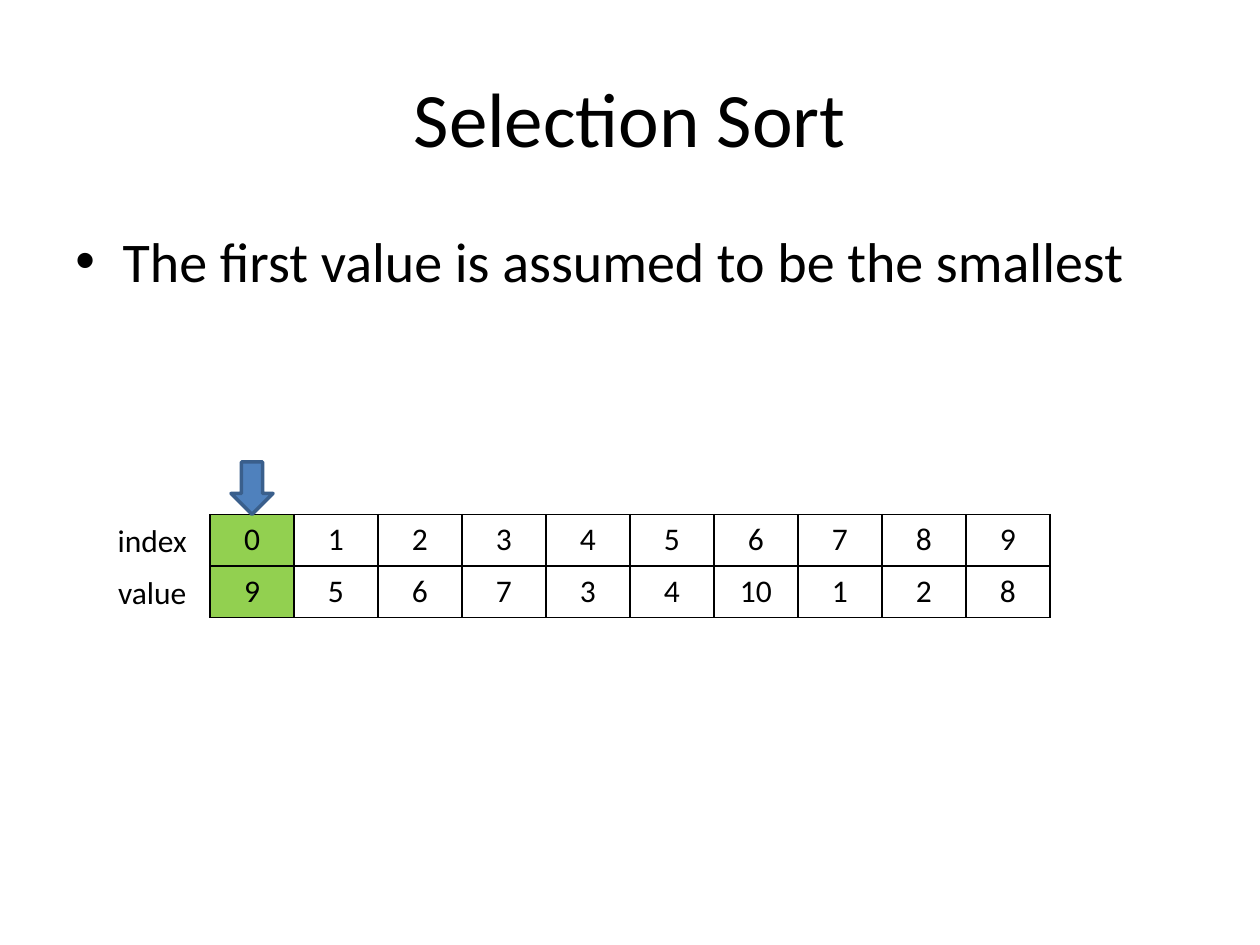
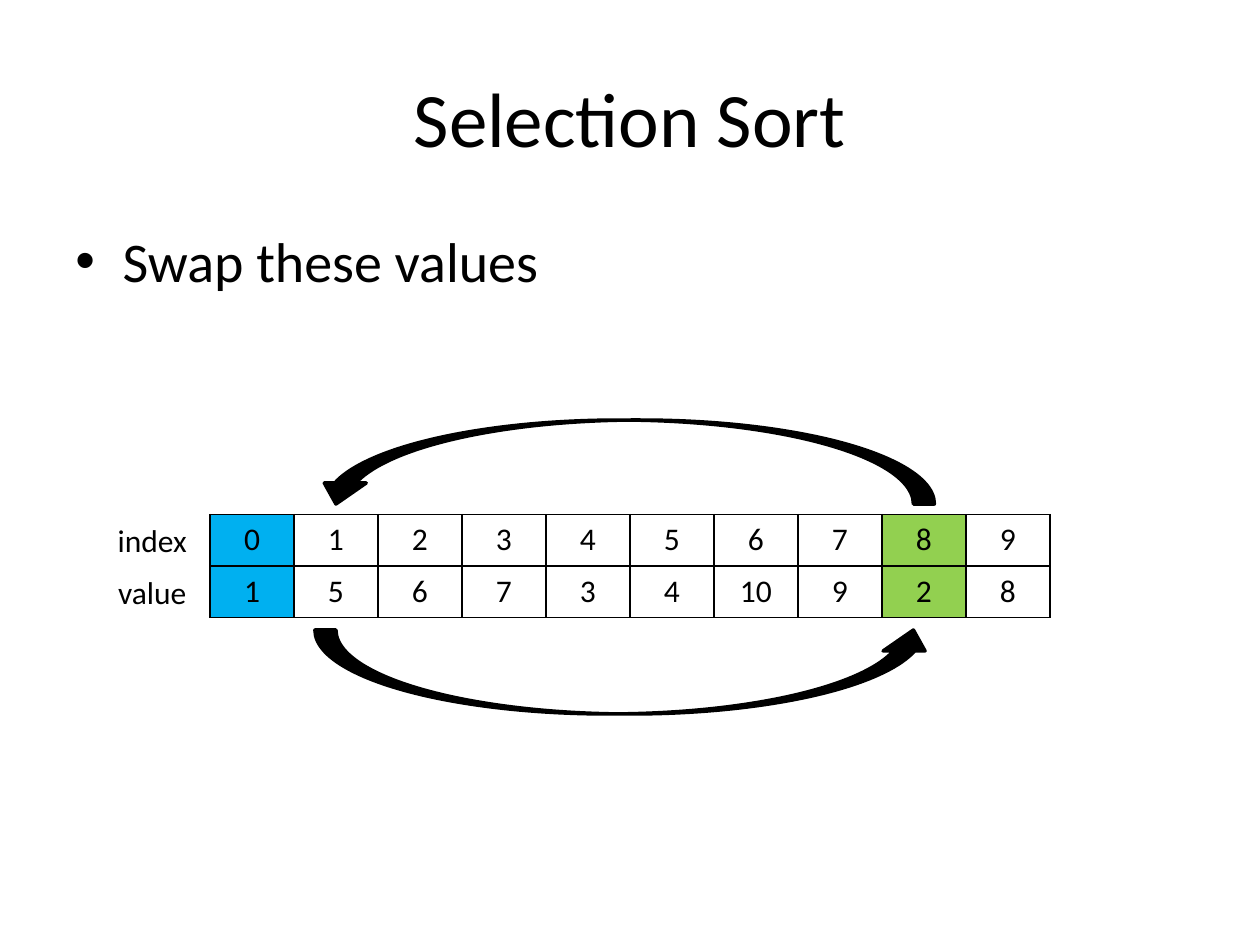
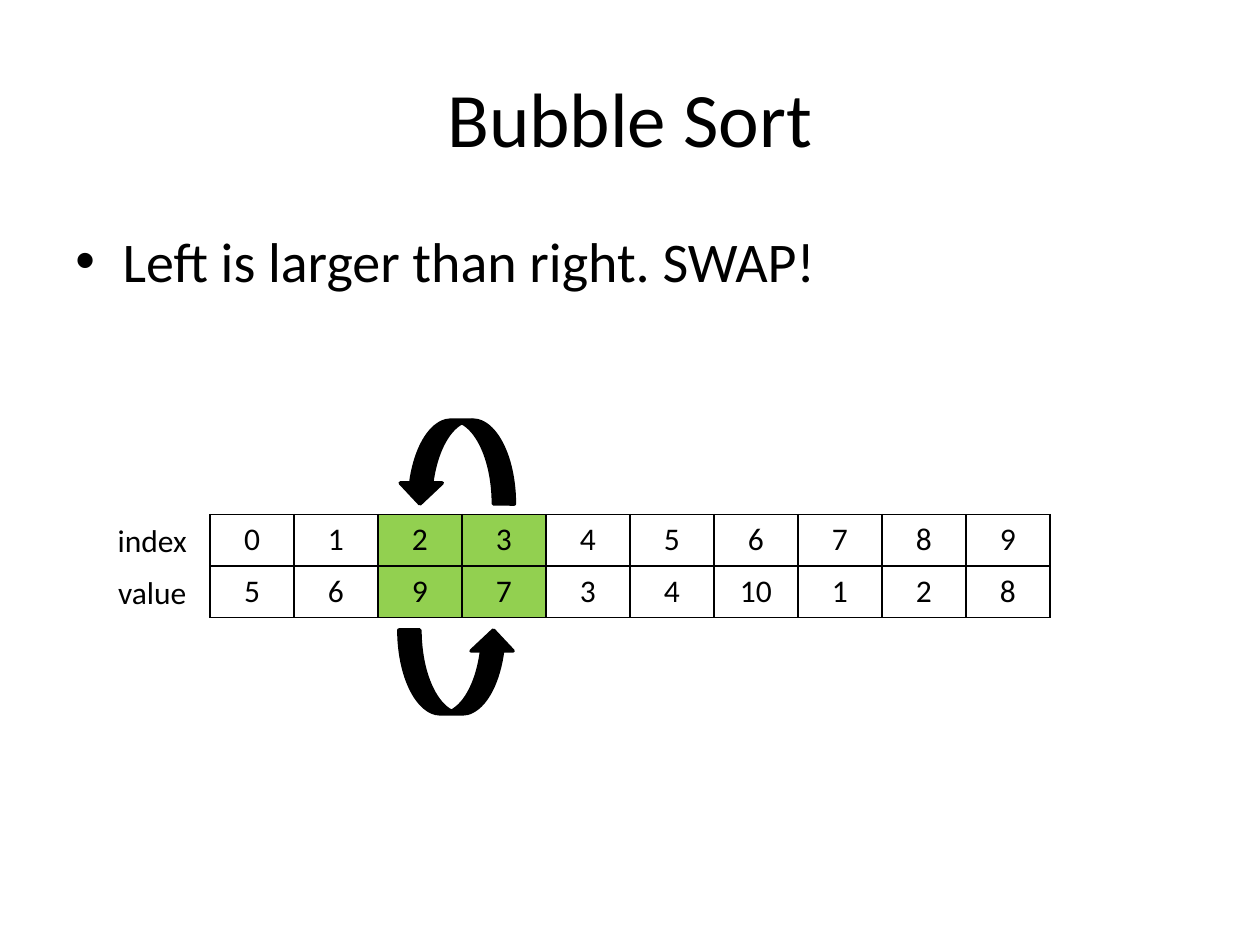
from lxml import etree
from pptx import Presentation
from pptx.dml.color import RGBColor
from pptx.enum.shapes import MSO_SHAPE
from pptx.enum.text import MSO_ANCHOR, PP_ALIGN
from pptx.oxml.ns import qn
from pptx.util import Emu, Pt

CENTER, LEFT = PP_ALIGN.CENTER, PP_ALIGN.LEFT
TOP, MIDDLE = MSO_ANCHOR.TOP, MSO_ANCHOR.MIDDLE
DOWN_ARROW = MSO_SHAPE.DOWN_ARROW
CURVED_UP, CURVED_DOWN = MSO_SHAPE.CURVED_UP_ARROW, MSO_SHAPE.CURVED_DOWN_ARROW

# "marked" maps an index to its colour; "swap" holds the cells the curved arrows join.
SLIDES = [
    {
        "title": "Selection Sort",
        "bullet": "The first value is assumed to be the smallest",
        "values": [9, 5, 6, 7, 3, 4, 10, 1, 2, 8],
        "marked": {0: "green"},
        "pointer": 0,
    },
    {
        "title": "Selection Sort",
        "bullet": "Swap these values",
        "values": [1, 5, 6, 7, 3, 4, 10, 9, 2, 8],
        "marked": {0: "blue", 8: "green"},
        "swap": (1, 8),
    },
    {
        "title": "Bubble Sort",
        "bullet": "Left is larger than right. SWAP!",
        "values": [5, 6, 9, 7, 3, 4, 10, 1, 2, 8],
        "marked": {2: "green", 3: "green"},
        "swap": (2, 3),
    },
]
ROW_LABELS = ["index", "value"]

COLORS = {
    "black": "000000",
    "white": "FFFFFF",
    "green": "92D050",
    "blue": "00B0F0",
    "pointer": "4F81BD",
    "pointer line": "3A5F8C",
}
FONT = "Calibri"

EMU_PER_PX = 7620  # 120 px to the inch
SLIDE_SIZE = (1200, 900)
TITLE_BOX = (60, 36, 1080, 150)
BULLET_BOX = (60, 210, 1080, 594)
BULLET_INDENT = 45
TABLE_LEFT, TABLE_TOP = 200, 490
CELL_WIDTH, CELL_HEIGHT = 80, 49
LABEL_LEFT, LABEL_WIDTH, LABEL_HEIGHT = 90, 110, 50
ARROW_INSET = 20
POINTER_SIZE = (40, 50)
CURVE_TOP, CURVE_BOTTOM, CURVE_HEIGHT, CURVE_EXTRA = 400, 600, 80, 30


def px(length):
    return Emu(length * EMU_PER_PX)


def rgb(name):
    return RGBColor.from_string(COLORS[name])


def cell_left(index):
    return TABLE_LEFT + index * CELL_WIDTH


def place(shape, box):
    shape.left, shape.top, shape.width, shape.height = map(px, box)


def write_text(frame, text, *, size=18, align=CENTER, anchor=TOP, bullet=False):
    frame.word_wrap = True
    frame.vertical_anchor = anchor
    paragraph = frame.paragraphs[0]
    paragraph.text = text
    paragraph.alignment = align
    if bullet:
        properties = paragraph._p.get_or_add_pPr()
        properties.set("marL", str(px(BULLET_INDENT)))
        properties.set("indent", str(-px(BULLET_INDENT)))
        etree.SubElement(properties, qn("a:buFont"), typeface="Arial")
        etree.SubElement(properties, qn("a:buChar"), char="•")
    font = paragraph.runs[0].font
    font.name, font.size = FONT, Pt(size)
    font.color.rgb = rgb("black")


def add_text(slide, box, text, **text_format):
    shape = slide.shapes.add_textbox(*map(px, box))
    write_text(shape.text_frame, text, **text_format)


def add_arrow(slide, kind, box, fill="black", line="black", flip=False):
    shape = slide.shapes.add_shape(kind, *map(px, box))
    shape.shadow.inherit = False
    shape.fill.solid()
    shape.fill.fore_color.rgb = rgb(fill)
    shape.line.color.rgb = rgb(line)
    shape.line.width = Pt(2)
    if flip:
        shape.element.spPr.get_or_add_xfrm().set("flipH", "1")


def add_borders(cell):
    properties = cell._tc.get_or_add_tcPr()
    for side in ("lnL", "lnR", "lnT", "lnB"):
        line = etree.SubElement(properties, qn(f"a:{side}"), w=str(Pt(1)))
        fill = etree.SubElement(line, qn("a:solidFill"))
        etree.SubElement(fill, qn("a:srgbClr"), val=COLORS["black"])


def add_array(slide, values, marked):
    """Draw the index and value rows with their labels."""
    rows = [range(len(values)), values]
    size = (len(values) * CELL_WIDTH, len(rows) * CELL_HEIGHT)
    table = slide.shapes.add_table(
        len(rows), len(values), *map(px, (TABLE_LEFT, TABLE_TOP, *size))
    ).table
    table.first_row = table.horz_banding = False
    for column in table.columns:
        column.width = px(CELL_WIDTH)
    for row_number, (label, row) in enumerate(zip(ROW_LABELS, rows)):
        table.rows[row_number].height = px(CELL_HEIGHT)
        for index, value in enumerate(row):
            cell = table.cell(row_number, index)
            write_text(cell.text_frame, str(value))
            add_borders(cell)
            cell.fill.solid()
            cell.fill.fore_color.rgb = rgb(marked.get(index, "white"))
        label_top = TABLE_TOP + row_number * LABEL_HEIGHT
        add_text(slide, (LABEL_LEFT, label_top, LABEL_WIDTH, LABEL_HEIGHT), label)


def add_pointer(slide, index):
    width, height = POINTER_SIZE
    box = (cell_left(index) + ARROW_INSET, TABLE_TOP - height, width, height)
    add_arrow(slide, DOWN_ARROW, box, fill="pointer", line="pointer line")


def add_swap(slide, first, last):
    left = cell_left(first) + ARROW_INSET
    width = (last - first) * CELL_WIDTH + CURVE_EXTRA
    add_arrow(slide, CURVED_UP, (left, CURVE_BOTTOM, width, CURVE_HEIGHT))
    add_arrow(slide, CURVED_DOWN, (left, CURVE_TOP, width, CURVE_HEIGHT), flip=True)


def add_slide(presentation, content):
    slide = presentation.slides.add_slide(presentation.slide_layouts[5])
    title = slide.shapes.title
    place(title, TITLE_BOX)
    write_text(title.text_frame, content["title"], size=44, anchor=MIDDLE)
    add_text(slide, BULLET_BOX, content["bullet"], size=32, align=LEFT, bullet=True)
    add_array(slide, content["values"], content["marked"])
    if "pointer" in content:
        add_pointer(slide, content["pointer"])
    if "swap" in content:
        add_swap(slide, *content["swap"])


def main():
    presentation = Presentation()
    presentation.slide_width, presentation.slide_height = map(px, SLIDE_SIZE)
    for content in SLIDES:
        add_slide(presentation, content)
    presentation.save("out.pptx")


if __name__ == "__main__":
    main()
